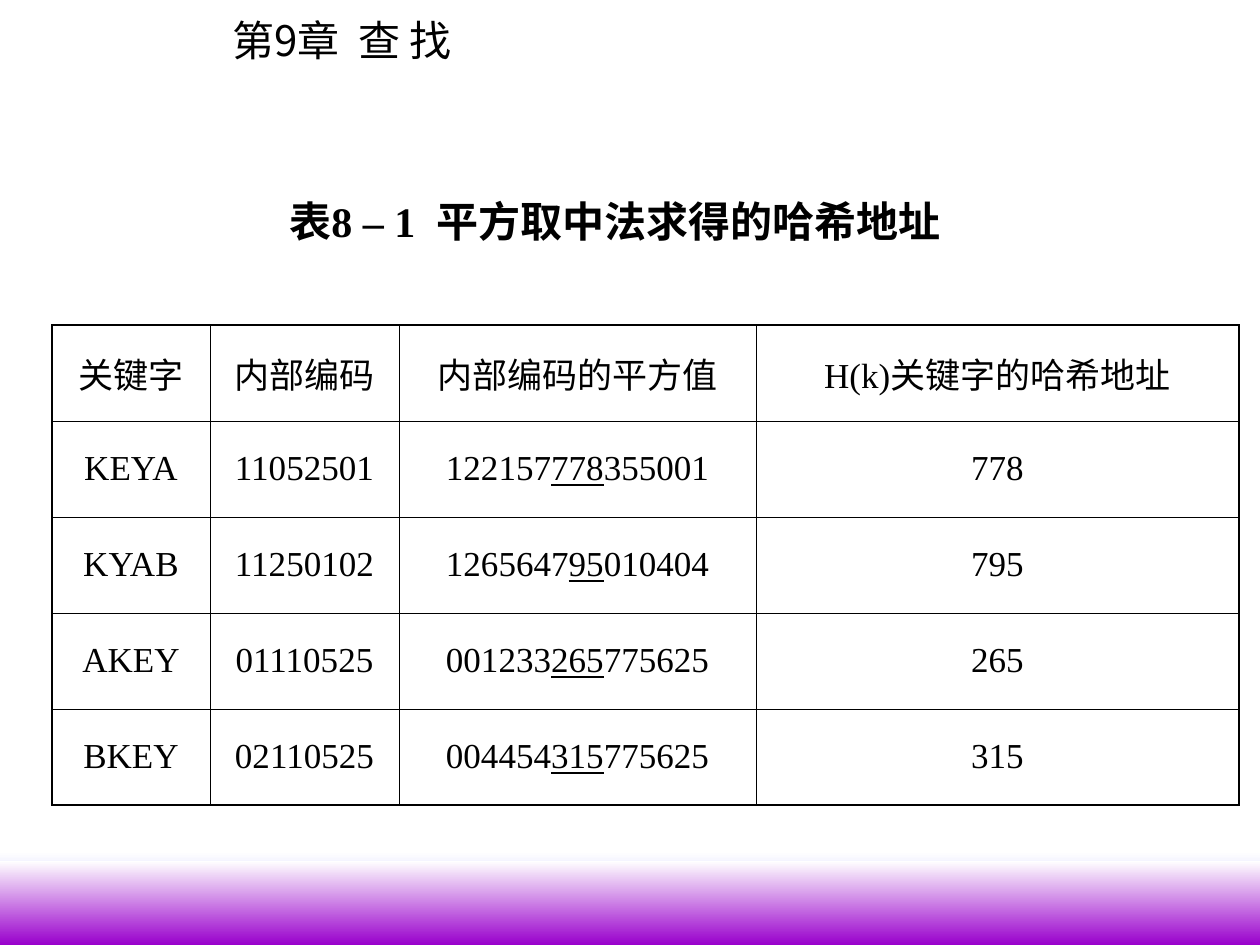
from dataclasses import dataclass

from lxml.etree import SubElement
from pptx import Presentation
from pptx.dml.color import RGBColor
from pptx.enum.shapes import MSO_SHAPE
from pptx.enum.text import MSO_ANCHOR, MSO_AUTO_SIZE, PP_ALIGN
from pptx.oxml.ns import qn
from pptx.slide import Slide
from pptx.table import _Cell
from pptx.util import Emu, Pt

EMU_PER_PX = 914400 / 126


@dataclass(frozen=True)
class Theme:
    black: str = "000000"
    white: str = "FFFFFF"
    lavender: str = "9999FF"
    purple: str = "9900CC"
    latin_font: str = "Times New Roman"
    chinese_font: str = "Noto Sans CJK SC"
    heading_size: int = 24
    cell_size: int = 20
    outer_line: float = 1.08
    inner_line: float = 0.45


THEME = Theme()


@dataclass(frozen=True)
class Band:
    top: int
    height: int
    color: str


@dataclass(frozen=True)
class Heading:
    left: int
    top: int
    width: int
    text: str
    font: str
    bold: bool


@dataclass(frozen=True)
class HashRow:
    keyword: str
    code: str
    square: tuple[str, ...]
    address: str

    def cells(self) -> list[tuple[str, ...]]:
        return [(self.keyword,), (self.code,), self.square, (self.address,)]


PAGE_WIDTH, PAGE_HEIGHT = 1260, 945
HEADING_HEIGHT = 63
TABLE_LEFT, TABLE_TOP, ROW_HEIGHT = 52, 325, 96
COLUMN_WIDTHS = [158, 189, 357, 483]

BANDS = [Band(851, 94, THEME.lavender), Band(861, 84, THEME.purple)]
HEADINGS = [
    Heading(220, 8, 275, "第9章  查 找", THEME.chinese_font, False),
    Heading(277, 189, 706, "表8 – 1  平方取中法求得的哈希地址", THEME.latin_font, True),
]
HASH_ROWS = [
    HashRow("关键字", "内部编码", ("内部编码的平方值",), "H(k)关键字的哈希地址"),
    HashRow("KEYA", "11052501", ("122157", "778", "355001"), "778"),
    HashRow("KYAB", "11250102", ("1265647", "95", "010404"), "795"),
    HashRow("AKEY", "01110525", ("001233", "265", "775625"), "265"),
    HashRow("BKEY", "02110525", ("004454", "315", "775625"), "315"),
]


def px(value: int) -> Emu:
    return Emu(round(value * EMU_PER_PX))


def style_span(span, size: int, font: str, bold: bool = False, underline: bool = False) -> None:
    span.font.size = Pt(size)
    span.font.name = font
    span.font.bold = bold
    span.font.underline = underline
    span.font.color.rgb = RGBColor.from_string(THEME.black)
    east_asian = SubElement(span.font._element, qn("a:ea"))
    east_asian.set("typeface", THEME.chinese_font)


def draw_band(page: Slide, band: Band) -> None:
    shape = page.shapes.add_shape(
        MSO_SHAPE.RECTANGLE, px(0), px(band.top), px(PAGE_WIDTH), px(band.height)
    )
    shape.shadow.inherit = False
    shape.line.fill.background()
    shape.fill.gradient()
    shape.fill.gradient_angle = 270
    for stop, color in zip(shape.fill.gradient_stops, (THEME.white, band.color)):
        stop.color.rgb = RGBColor.from_string(color)


def draw_heading(page: Slide, heading: Heading) -> None:
    box = page.shapes.add_textbox(
        px(heading.left), px(heading.top), px(heading.width), px(HEADING_HEIGHT)
    )
    frame = box.text_frame
    frame.word_wrap = False
    frame.auto_size = MSO_AUTO_SIZE.SHAPE_TO_FIT_TEXT
    frame.text = heading.text
    for span in frame.paragraphs[0].runs:
        style_span(span, THEME.heading_size, heading.font, heading.bold)


def draw_borders(cell: _Cell, outer_sides: dict[str, bool]) -> None:
    properties = cell._tc.get_or_add_tcPr()
    for side, is_outer in outer_sides.items():
        width = THEME.outer_line if is_outer else THEME.inner_line
        line = SubElement(properties, qn(f"a:{side}"), w=str(Pt(width)))
        fill = SubElement(line, qn("a:solidFill"))
        SubElement(fill, qn("a:srgbClr"), val=THEME.black)


def fill_cell(cell: _Cell, parts: tuple[str, ...]) -> None:
    cell.vertical_anchor = MSO_ANCHOR.MIDDLE
    cell.fill.background()
    para = cell.text_frame.paragraphs[0]
    para.alignment = PP_ALIGN.CENTER
    for index, part in enumerate(parts):
        span = para.add_run()
        span.text = part
        style_span(span, THEME.cell_size, THEME.latin_font, underline=index == 1)


def draw_table(page: Slide, rows: list[HashRow]) -> None:
    table = page.shapes.add_table(
        len(rows), len(COLUMN_WIDTHS), px(TABLE_LEFT), px(TABLE_TOP),
        px(sum(COLUMN_WIDTHS)), px(ROW_HEIGHT * len(rows)),
    ).table
    table.first_row = False
    table.horz_banding = False
    for column, width in zip(table.columns, COLUMN_WIDTHS):
        column.width = px(width)
    last_row, last_column = len(rows) - 1, len(COLUMN_WIDTHS) - 1
    for row_index, row in enumerate(rows):
        table.rows[row_index].height = px(ROW_HEIGHT)
        for column_index, parts in enumerate(row.cells()):
            cell = table.cell(row_index, column_index)
            draw_borders(cell, {
                "lnL": column_index == 0,
                "lnR": column_index == last_column,
                "lnT": row_index == 0,
                "lnB": row_index == last_row,
            })
            fill_cell(cell, parts)


def main() -> None:
    deck = Presentation()
    deck.slide_width, deck.slide_height = px(PAGE_WIDTH), px(PAGE_HEIGHT)
    page = deck.slides.add_slide(deck.slide_layouts[6])
    page.background.fill.solid()
    page.background.fill.fore_color.rgb = RGBColor.from_string(THEME.white)
    for band in BANDS:
        draw_band(page, band)
    for heading in HEADINGS:
        draw_heading(page, heading)
    draw_table(page, HASH_ROWS)
    deck.save("out.pptx")


if __name__ == "__main__":
    main()
